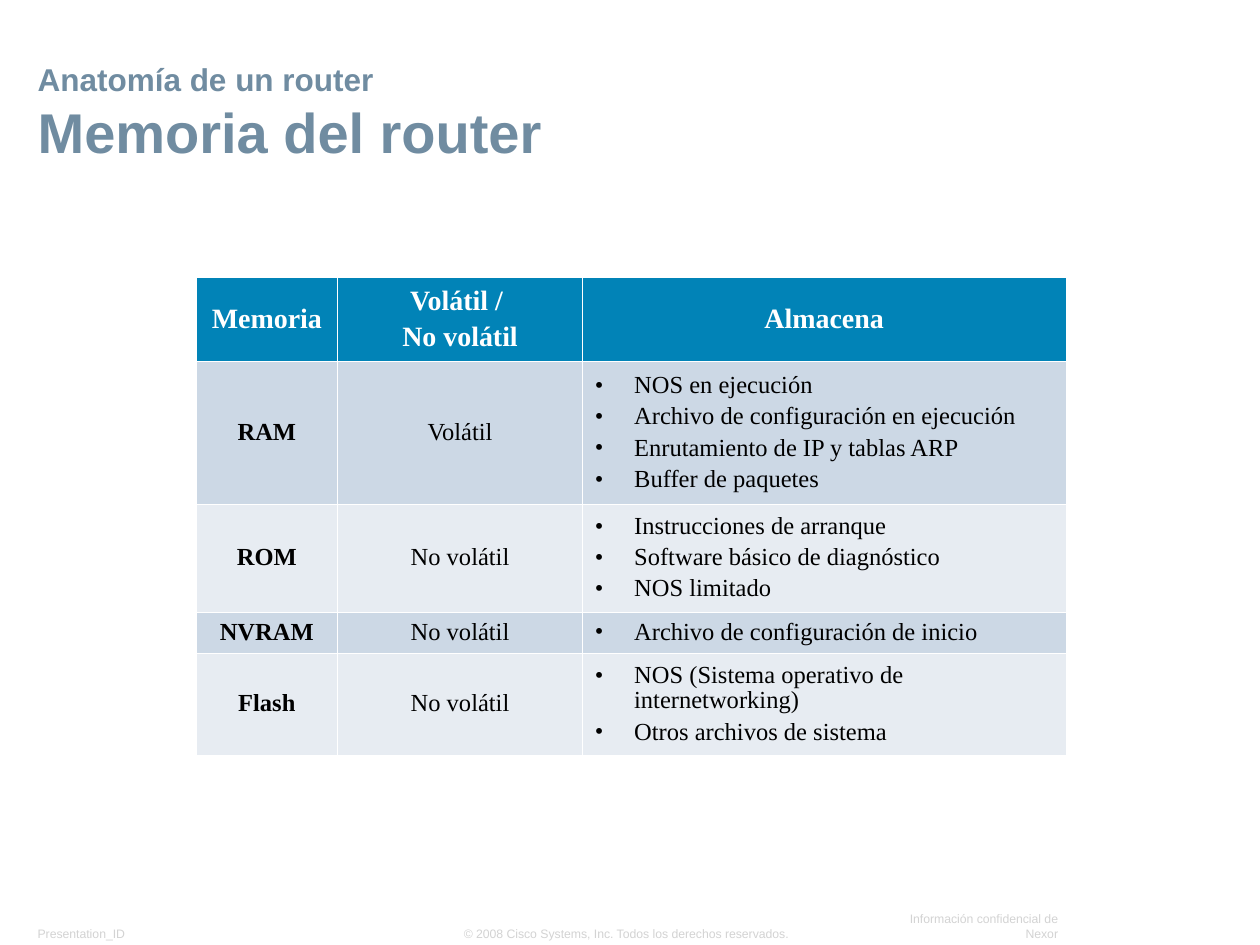
import pptx
import pptx.dml.color
import pptx.enum.text
import pptx.oxml
import pptx.oxml.ns
import pptx.util
from pptx.util import Cm, Pt

COLORS = {
    "title": "708CA1",
    "footer": "D3D3D3",
    "header": "0183B7",
    "dark_band": "CCD8E5",
    "light_band": "E7ECF2",
    "white": "FFFFFF",
    "black": "000000",
}
HEADING_FONT = "Arial"
TABLE_FONT = "Times New Roman"

ALIGN = pptx.enum.text.PP_ALIGN
ANCHOR = pptx.enum.text.MSO_ANCHOR

TITLE = [("Anatomía de un router", 18), ("Memoria del router", 32)]
FOOTERS = [
    ("Presentation_ID", 0.53, 2.67, ALIGN.LEFT, True),
    ("© 2008 Cisco Systems, Inc. Todos los derechos reservados.", 9.12, 7.04, ALIGN.LEFT, False),
    ("Información confidencial de Nexor", 17.42, 4.14, ALIGN.RIGHT, False),
]
HEADINGS = [["Memoria "], ["Volátil / ", "No volátil"], ["Almacena"]]
MEMORIES = [
    ("RAM", "Volátil", [
        "NOS en ejecución",
        "Archivo de configuración en ejecución",
        "Enrutamiento de IP y tablas ARP",
        "Buffer de paquetes",
    ]),
    ("ROM", "No volátil", [
        "Instrucciones de arranque",
        "Software básico de diagnóstico",
        "NOS limitado",
    ]),
    ("NVRAM", "No volátil", ["Archivo de configuración de inicio"]),
    ("Flash", "No volátil", [
        "NOS (Sistema operativo de internetworking)",
        "Otros archivos de sistema",
    ]),
]
COLUMN_WIDTHS = [2.86, 4.93, 9.75]
ROW_HEIGHTS = [1.69, 2.87, 2.18, 0.83, 2.06]


def rgb(name):
    return pptx.dml.color.RGBColor.from_string(COLORS[name])


def add_run(paragraph, text, font, size, color, bold=False):
    run = paragraph.add_run()
    run.text = text
    run.font.name = font
    run.font.size = Pt(size)
    run.font.bold = bold
    run.font.color.rgb = rgb(color)


def add_box(slide, left, top, width, height, wrap=True):
    frame = slide.shapes.add_textbox(Cm(left), Cm(top), Cm(width), Cm(height)).text_frame
    frame.word_wrap = wrap
    frame.vertical_anchor = ANCHOR.BOTTOM
    frame.margin_left = frame.margin_right = Cm(0.23)
    frame.margin_top = frame.margin_bottom = Cm(0.11)
    return frame.paragraphs[0]


def add_xml(parent, markup):
    ns = pptx.oxml.ns.nsdecls("a")
    parent.append(pptx.oxml.parse_xml(markup.replace("NS", ns, 1)))


def add_bullet(paragraph):
    properties = paragraph._p.get_or_add_pPr()
    properties.set("marL", str(Cm(0.79)))
    properties.set("indent", str(-Cm(0.79)))
    add_xml(properties, f'<a:buClr NS><a:srgbClr val="{COLORS["black"]}"/></a:buClr>')
    add_xml(properties, f'<a:buFont NS typeface="{TABLE_FONT}"/>')
    add_xml(properties, '<a:buChar NS char="•"/>')


def fill_cell(cell, lines, size, color, band, bold=False, bulleted=False):
    cell.vertical_anchor = ANCHOR.MIDDLE
    for side in "LRTB":
        add_xml(
            cell._tc.get_or_add_tcPr(),
            f'<a:ln{side} NS w="{Pt(0.45)}"><a:solidFill>'
            f'<a:srgbClr val="{COLORS["white"]}"/></a:solidFill></a:ln{side}>',
        )
    cell.fill.solid()
    cell.fill.fore_color.rgb = rgb(band)
    frame = cell.text_frame
    for number, line in enumerate(lines):
        paragraph = frame.add_paragraph() if number else frame.paragraphs[0]
        if bulleted:
            add_bullet(paragraph)
        paragraph.alignment = ALIGN.LEFT if bulleted else ALIGN.CENTER
        paragraph.line_spacing = 0.93
        paragraph.space_before = Pt(size / 4 if number else 0)
        add_run(paragraph, line, TABLE_FONT, size, color, bold)


def add_memory_table(slide):
    table = slide.shapes.add_table(
        len(ROW_HEIGHTS), len(COLUMN_WIDTHS), Cm(3.95), Cm(5.6),
        Cm(sum(COLUMN_WIDTHS)), Cm(sum(ROW_HEIGHTS)),
    ).table
    table.first_row = table.horz_banding = False
    for column, width in zip(table.columns, COLUMN_WIDTHS):
        column.width = Cm(width)
    for row, height in zip(table.rows, ROW_HEIGHTS):
        row.height = Cm(height)
    for column, lines in enumerate(HEADINGS):
        fill_cell(table.cell(0, column), lines, 16, "white", "header", bold=True)
    for row, (memory, volatility, contents) in enumerate(MEMORIES, 1):
        band = "dark_band" if row % 2 else "light_band"
        fill_cell(table.cell(row, 0), [memory], 14, "black", band, bold=True)
        fill_cell(table.cell(row, 1), [volatility], 14, "black", band)
        fill_cell(table.cell(row, 2), contents, 14, "black", band, bulleted=True)


def main():
    presentation = pptx.Presentation()
    presentation.slide_width = Cm(25.4)
    presentation.slide_height = Cm(19.05)
    slide = presentation.slides.add_slide(presentation.slide_layouts[6])

    for text, left, width, alignment, wrap in FOOTERS:
        footer = add_box(slide, left, 18.54, width, 0.53, wrap)
        footer.alignment = alignment
        add_run(footer, text, HEADING_FONT, 7, "footer")

    title = add_box(slide, 0.53, 1.09, 24.36, 2.34)
    for number, (text, size) in enumerate(TITLE):
        if number:
            title.add_line_break()
        add_run(title, text, HEADING_FONT, size, "title", bold=True)

    add_memory_table(slide)
    presentation.save("out.pptx")


if __name__ == "__main__":
    main()
